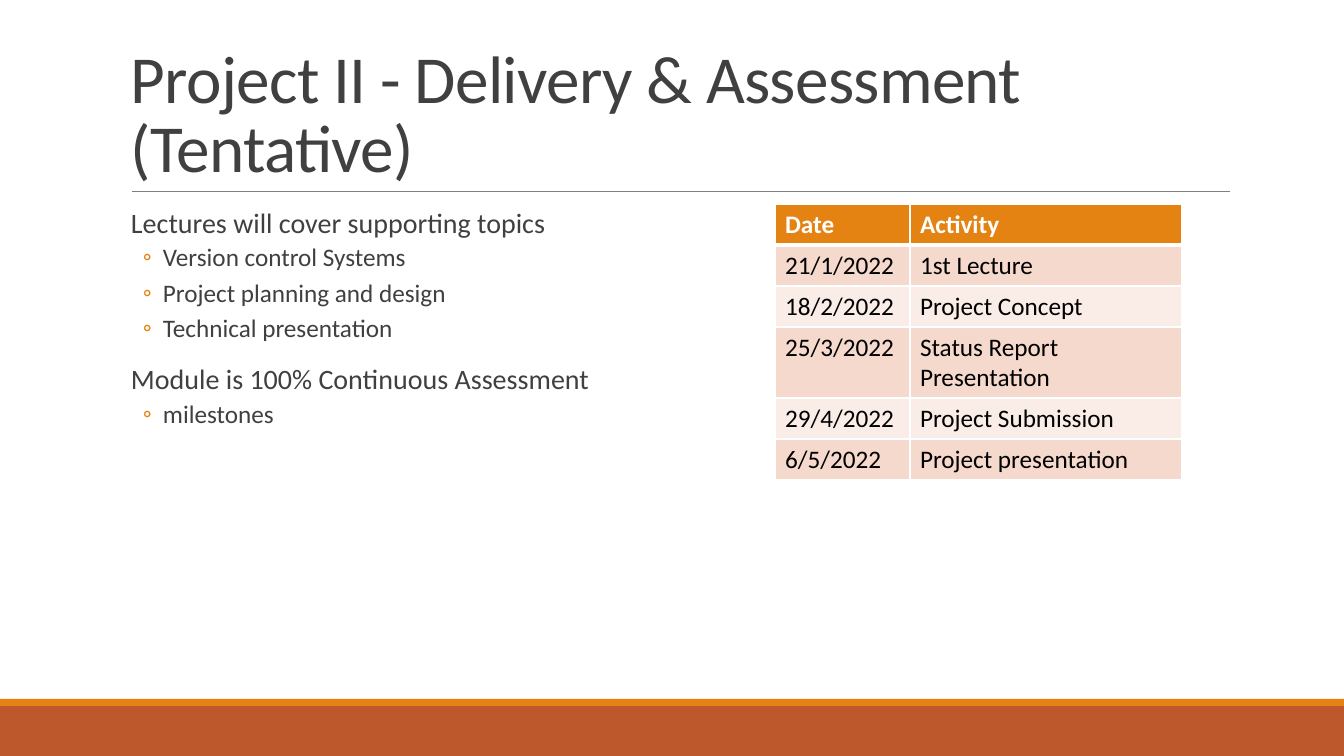
from dataclasses import dataclass

from lxml import etree
from pptx import Presentation
from pptx.dml.color import RGBColor
from pptx.enum.shapes import MSO_CONNECTOR, MSO_SHAPE
from pptx.enum.text import MSO_ANCHOR
from pptx.oxml.ns import qn
from pptx.util import Emu, Pt

RECTANGLE = MSO_SHAPE.RECTANGLE
STRAIGHT = MSO_CONNECTOR.STRAIGHT
TOP, BOTTOM = MSO_ANCHOR.TOP, MSO_ANCHOR.BOTTOM
PAGE_WIDTH, PAGE_HEIGHT = 1344, 756
BLANK_LAYOUT = 6


@dataclass(frozen=True)
class Theme:
    font: str = "Calibri"
    ink: str = "404040"
    black: str = "000000"
    white: str = "FFFFFF"
    rule: str = "808080"
    orange: str = "E48312"
    rust: str = "BD582C"
    bands: tuple = ("F5D9CC", "FAEDE7")
    title_size: int = 48
    topic_size: int = 20
    small_size: int = 18


def px(count):
    return Emu(round(count * 914400 / 100.8))


def apply(target, **values):
    for name, value in values.items():
        setattr(target, name, value)


def add_xml(parent, tag, **attributes):
    return etree.SubElement(parent, qn(tag), attributes)


class SlideBuilder:
    def __init__(self, page, theme):
        self.page = page
        self.theme = theme

    def bar(self, top, height, color):
        shape = self.page.shapes.add_shape(
            RECTANGLE, 0, px(top), px(PAGE_WIDTH), px(height))
        shape.shadow.inherit = False
        shape.fill.solid()
        shape.fill.fore_color.rgb = RGBColor.from_string(color)
        shape.line.fill.background()

    def rule(self, left, right, y):
        line = self.page.shapes.add_connector(
            STRAIGHT, px(left), px(y), px(right), px(y))
        line.line.color.rgb = RGBColor.from_string(self.theme.rule)
        line.line.width = Pt(0.5)
        add_xml(line._element.spPr, "a:effectLst")

    def span(self, para, text, size, color, bold=False):
        span = para.add_run()
        span.text = text
        apply(span.font, name=self.theme.font, size=Pt(size), bold=bold)
        span.font.color.rgb = RGBColor.from_string(color)
        return span

    def text_frame(self, left, top, width, height, anchor, side_inset):
        box = self.page.shapes.add_textbox(*map(px, (left, top, width, height)))
        frame = box.text_frame
        apply(frame, word_wrap=True, vertical_anchor=anchor,
              margin_left=px(side_inset), margin_right=px(side_inset),
              margin_top=px(5), margin_bottom=px(5))
        return frame

    def title(self, text, *place):
        para = self.text_frame(*place, BOTTOM, 10).paragraphs[0]
        para.line_spacing = 0.85
        span = self.span(para, text, self.theme.title_size, self.theme.ink)
        span.font._element.set("spc", "-50")

    def outline(self, topics, *place):
        """Write each topic with its bulleted points below it."""
        frame = self.text_frame(*place, TOP, 0)
        para = frame.paragraphs[0]
        for index, (topic, points) in enumerate(topics):
            if index:
                para = frame.add_paragraph()
            apply(para, line_spacing=0.9, space_before=Pt(12), space_after=Pt(2))
            para._p.get_or_add_pPr().set("marL", str(px(10)))
            self.span(para, topic, self.theme.topic_size, self.theme.ink)
            for point in points:
                self.bullet(frame.add_paragraph(), point)

    def bullet(self, para, text):
        apply(para, level=1, line_spacing=0.9,
              space_before=Pt(2), space_after=Pt(4))
        properties = para._p.get_or_add_pPr()
        properties.set("marL", str(px(42)))
        properties.set("indent", str(-px(20)))
        color = add_xml(properties, "a:buClr")
        add_xml(color, "a:srgbClr", val=self.theme.orange)
        add_xml(properties, "a:buFont", typeface=self.theme.font)
        add_xml(properties, "a:buChar", char="◦")
        self.span(para, text, self.theme.small_size, self.theme.ink)

    def table(self, left, top, columns, heights, records):
        table = self.page.shapes.add_table(
            len(records), len(columns), px(left), px(top),
            px(sum(columns)), px(sum(heights))).table
        table.horz_banding = False
        for column, width in zip(table.columns, columns):
            column.width = px(width)
        for index, (row, height, record) in enumerate(
                zip(table.rows, heights, records)):
            row.height = px(height)
            for cell, text in zip(row.cells, record):
                self.cell(cell, text, index)

    def cell(self, cell, text, row):
        theme = self.theme
        header = row == 0
        fill = theme.orange if header else theme.bands[(row - 1) % 2]
        color = theme.white if header else theme.black
        self.borders(cell, header)
        cell.fill.solid()
        cell.fill.fore_color.rgb = RGBColor.from_string(fill)
        self.span(cell.text_frame.paragraphs[0], text,
                  theme.small_size, color, header)

    def borders(self, cell, header):
        """Draw white cell edges, heavier below the header."""
        edges = {"a:lnL": 1, "a:lnR": 1}
        if header:
            edges["a:lnT"] = 1
        edges["a:lnB"] = 3 if header else 1
        properties = cell._tc.get_or_add_tcPr()
        for tag, width in edges.items():
            line = add_xml(properties, tag, w=str(Pt(width)))
            fill = add_xml(line, "a:solidFill")
            add_xml(fill, "a:srgbClr", val=self.theme.white)


TOPICS = [
    ("Lectures will cover supporting topics",
     ["Version control Systems", "Project planning and design",
      "Technical presentation"]),
    ("Module is 100% Continuous Assessment", ["milestones"]),
]
SCHEDULE = [
    ("Date", "Activity"),
    ("21/1/2022", "1st Lecture"),
    ("18/2/2022", "Project Concept"),
    ("25/3/2022", "Status Report Presentation"),
    ("29/4/2022", "Project Submission"),
    ("6/5/2022", "Project presentation"),
]
ROW_HEIGHTS = [41, 41, 41, 71, 41, 41]


def main():
    deck = Presentation()
    apply(deck, slide_width=px(PAGE_WIDTH), slide_height=px(PAGE_HEIGHT))
    page = deck.slides.add_slide(deck.slide_layouts[BLANK_LAYOUT])
    theme = Theme()
    builder = SlideBuilder(page, theme)
    builder.bar(706, 50, theme.rust)
    builder.bar(699, 7, theme.orange)
    builder.rule(132, 1230, 191)
    builder.title("Project II - Delivery & Assessment (Tentative)",
                  121, 31, 1109, 160)
    builder.outline(TOPICS, 121, 204, 544, 444)
    builder.table(775, 204, [135, 272], ROW_HEIGHTS, SCHEDULE)
    deck.save("out.pptx")


if __name__ == "__main__":
    main()
